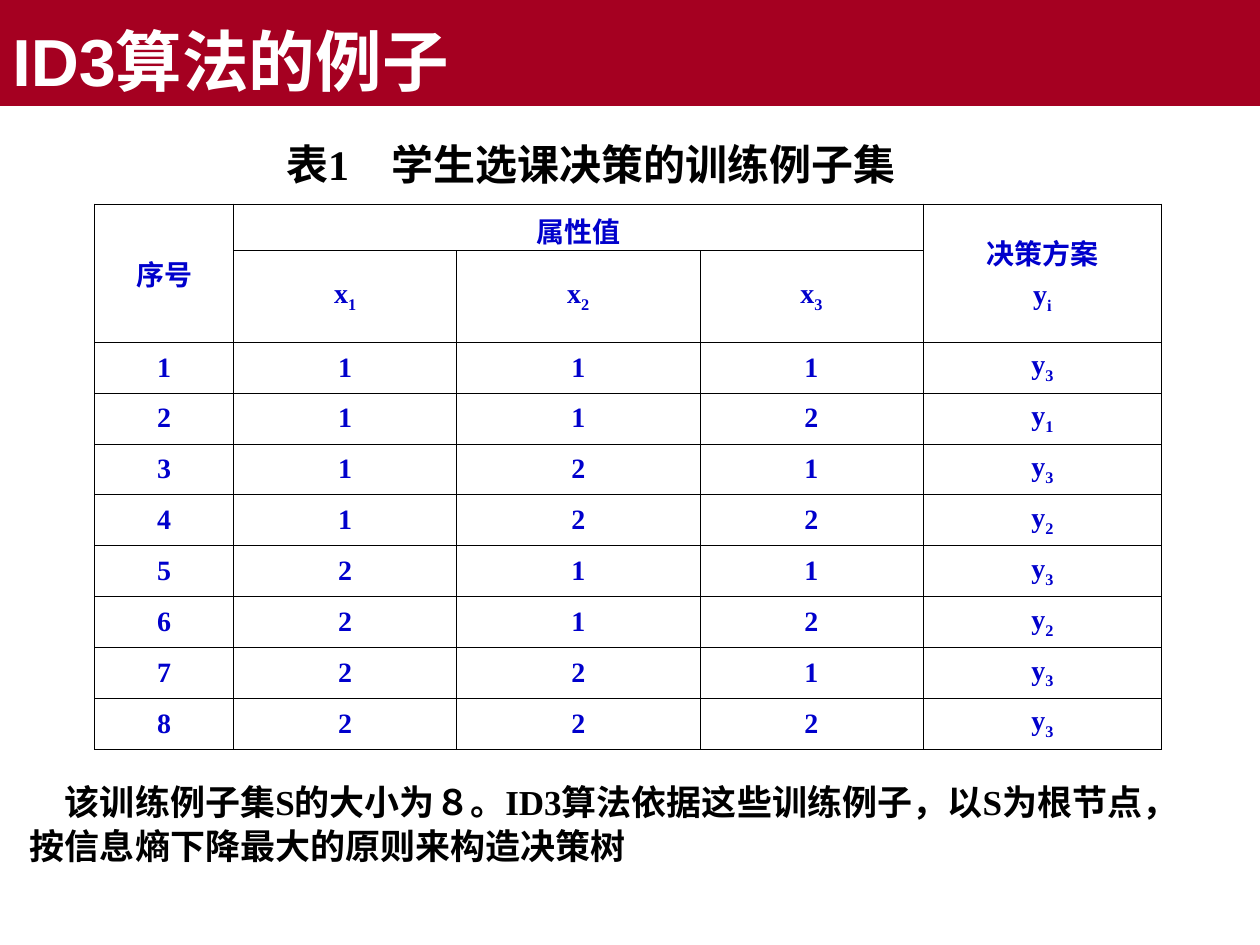
"""Build the slide with the ID3 training example table."""
from lxml import etree
from pptx import Presentation
from pptx.dml.color import RGBColor
from pptx.enum.shapes import MSO_SHAPE
from pptx.enum.text import MSO_ANCHOR, PP_ALIGN
from pptx.oxml.ns import qn
from pptx.util import Pt

RECT = MSO_SHAPE.RECTANGLE
LEFT, CENTER = PP_ALIGN.LEFT, PP_ALIGN.CENTER
MIDDLE, BOTTOM = MSO_ANCHOR.MIDDLE, MSO_ANCHOR.BOTTOM
SERIF = "Times New Roman"


def rgb(value):
    return RGBColor.from_string(value)


def write(p, text, size, color, font=SERIF, align=CENTER):
    p.alignment = align
    for i, part in enumerate(text.split("_")):
        r = p.add_run()
        r.text = part
        r.font.size = Pt(size)
        r.font.name = font
        r.font.bold = True
        r.font.color.rgb = rgb(color)
        if i:
            r.font._element.set("baseline", "-25000")


prs = Presentation()
prs.slide_width, prs.slide_height = Pt(720), Pt(540)
s = prs.slides.add_slide(prs.slide_layouts[6])

sp = s.shapes.add_shape(RECT, 0, 0, Pt(720), Pt(60.5))
sp.shadow.inherit = False
sp.fill.solid()
sp.fill.fore_color.rgb = rgb("A50021")
sp.line.fill.background()
tf = sp.text_frame
tf.vertical_anchor = BOTTOM
write(tf.paragraphs[0], "ID3算法的例子", 38, "FFFFFF", "Arial", LEFT)

sp = s.shapes.add_textbox(Pt(10), Pt(441.5), Pt(672), Pt(57.5))
tf = sp.text_frame
tf.word_wrap = True
p = tf.paragraphs[0]
p.line_spacing = 1.05
p._p.get_or_add_pPr().set("indent", str(Pt(20)))
write(p, "该训练例子集S的大小为８。ID3算法依据这些训练例子，以S为根节点，"
         "按信息熵下降最大的原则来构造决策树", 20, "000000", align=LEFT)

rows = [
    ["序号", "属性值", "", "", "决策方案\ny_i"],
    ["", "x_1", "x_2", "x_3", ""],
]
decisions = [3, 1, 3, 2, 3, 2, 3, 3]
for i, decision in enumerate(decisions):
    attributes = [str(1 + i // step % 2) for step in (4, 2, 1)]
    rows.append([str(i + 1), *attributes, f"y_{decision}"])

widths = [79.5, 127.5, 139, 127.5, 136.5]
heights = [26.5, 52.5] + [29.07] * len(decisions)
table = s.shapes.add_table(len(rows), len(widths), Pt(54), Pt(116.6),
                           Pt(sum(widths)), Pt(sum(heights))).table
table.first_row = table.horz_banding = False
for column, width in zip(table.columns, widths):
    column.width = Pt(width)
for row, height in zip(table.rows, heights):
    row.height = Pt(height)
for first, last in [((0, 0), (1, 0)), ((0, 1), (0, 3)), ((0, 4), (1, 4))]:
    table.cell(*first).merge(table.cell(*last))

for i, row in enumerate(rows):
    for j, text in enumerate(row):
        cell = table.cell(i, j)
        cell.vertical_anchor = MIDDLE
        tcPr = cell._tc.get_or_add_tcPr()
        for side in ("a:lnL", "a:lnR", "a:lnT", "a:lnB"):
            ln = etree.SubElement(tcPr, qn(side), w=str(Pt(0.45)))
            fill = etree.SubElement(ln, qn("a:solidFill"))
            etree.SubElement(fill, qn("a:srgbClr"), val="000000")
        cell.fill.background()
        if not text:
            continue
        tf = cell.text_frame
        for k, line in enumerate(text.split("\n")):
            p = tf.add_paragraph() if k else tf.paragraphs[0]
            if k:
                p.space_before = Pt(4)
            write(p, line, 16, "0000CC")

sp = s.shapes.add_textbox(Pt(144.5), Pt(75.5), Pt(386), Pt(36))
tf = sp.text_frame
tf.word_wrap = True
write(tf.paragraphs[0], "表1　学生选课决策的训练例子集", 24, "000000")

prs.save("out.pptx")
